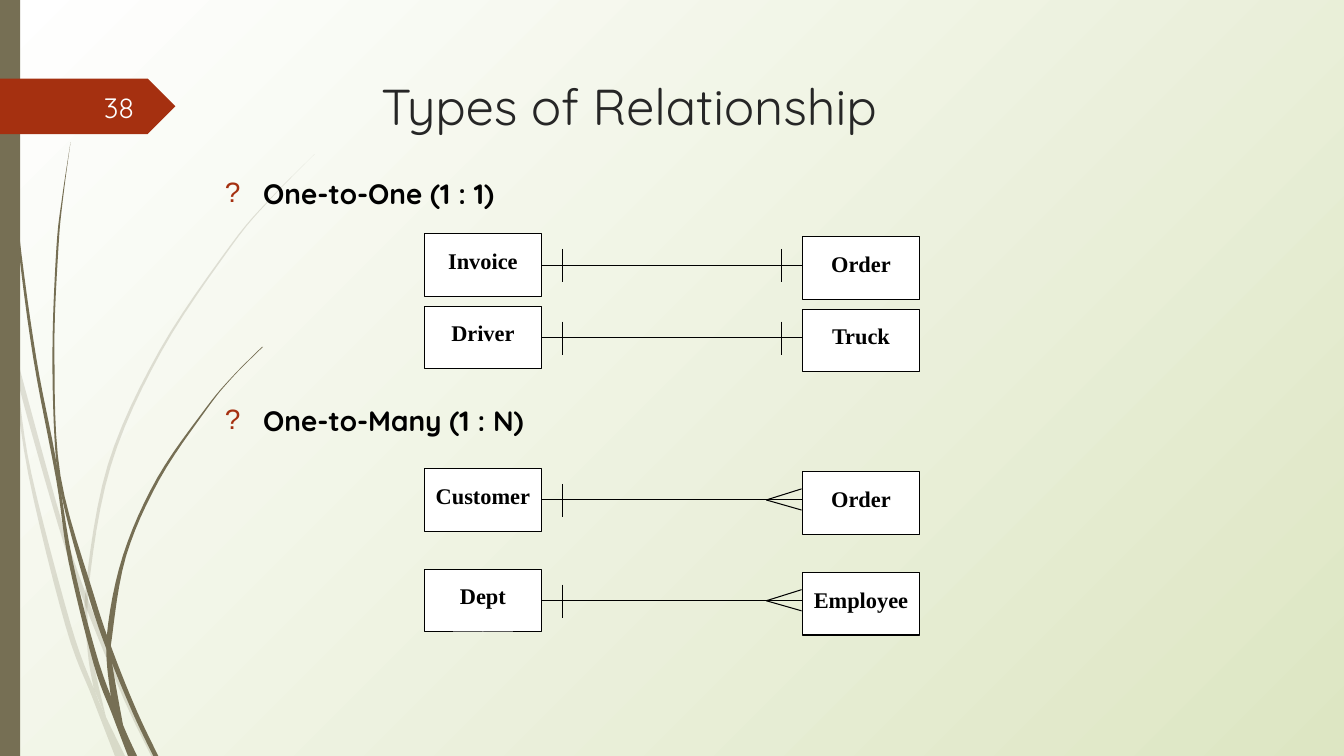
from lxml import etree
from pptx import Presentation
from pptx.dml.color import RGBColor
from pptx.enum.shapes import MSO_CONNECTOR, MSO_SHAPE
from pptx.enum.text import MSO_ANCHOR, MSO_AUTO_SIZE, PP_ALIGN
from pptx.oxml.ns import qn
from pptx.util import Inches, Pt

RECTANGLE, PENTAGON = MSO_SHAPE.RECTANGLE, MSO_SHAPE.PENTAGON
STRAIGHT = MSO_CONNECTOR.STRAIGHT
TOP, MIDDLE = MSO_ANCHOR.TOP, MSO_ANCHOR.MIDDLE
LEFT, CENTER, RIGHT = PP_ALIGN.LEFT, PP_ALIGN.CENTER, PP_ALIGN.RIGHT
NO_AUTOFIT = MSO_AUTO_SIZE.NONE

WHITE = RGBColor(0xFF, 0xFF, 0xFF)
PALE_GREEN = RGBColor(0xDD, 0xE6, 0xC3)
OLIVE = RGBColor(0x76, 0x6F, 0x54)
RUST = RGBColor(0xA5, 0x30, 0x10)
CHARCOAL = RGBColor(0x26, 0x26, 0x26)
BLACK = RGBColor(0, 0, 0)
NUMBER_WHITE = RGBColor(0xFE, 0xFF, 0xFF)
HEADING_FONT, DIAGRAM_FONT = "Quicksand", "Times New Roman"

# Each blade of grass: one edge downwards, then the other edge back up.
PALE_BLADES = [
    ([(0, 2.99), (.1, 3.44), (.28, 4.7), (.65, 6.21), (.92, 6.93), (1.14, 7.5)],
     [(1.24, 7.5), (1.05, 7.11), (.93, 6.83), (.7, 6.19), (.31, 4.69),
      (.17, 3.76), (.09, 3.22), (0, 2.82)]),
    ([(.14, 3.45), (.17, 3.76), (.58, 5.22), (.84, 5.99), (1.23, 6.94), (1.5, 7.5)],
     [(1.55, 7.5), (1.27, 6.92), (.92, 6.07), (.62, 5.2), (.14, 3.45)]),
    ([(3.12, 1.53), (2.68, 1.97), (2.28, 2.44), (1.58, 3.48), (1.07, 4.61),
      (.85, 5.84), (.87, 6.46), (.93, 6.83)],
     [(1.05, 7.11), (.91, 6.46), (.88, 5.84), (1.1, 4.62), (1.6, 3.49),
      (2.29, 2.45), (2.68, 1.98), (3.12, 1.53)]),
]
DARK_BLADES = [
    ([(.03, 0), (.07, 1.1), (.17, 2.33), (.33, 3.55), (.56, 4.77), (.68, 5.57),
      (.93, 6.59), (1.11, 7.08), (1.27, 7.5)],
     [(1.36, 7.5), (1.22, 7.19), (.98, 6.57), (.72, 5.56), (.55, 4.53),
      (.36, 3.55), (.19, 2.32), (.08, 1.09), (.04, 0)]),
    ([(.7, 1.41), (.62, 1.93), (.56, 2.45), (.52, 3.49), (.55, 4.49), (.64, 5.05),
      (.88, 5.92), (1.06, 6.45), (1.32, 7.08), (1.52, 7.5)],
     [(1.57, 7.5), (1.36, 7.06), (1.13, 6.49), (.93, 5.9), (.6, 4.72),
      (.54, 3.49), (.58, 2.45), (.63, 1.93), (.7, 1.41)]),
    ([(2.6, 3.44), (2.31, 3.73), (2.04, 4.05), (1.56, 4.74), (1.22, 5.51),
      (1.06, 6.31), (1.1, 6.91), (1.17, 7.22)],
     [(1.22, 7.19), (1.11, 6.56), (1.11, 6.33), (1.25, 5.52), (1.58, 4.76),
      (2.05, 4.06), (2.31, 3.74), (2.61, 3.44)]),
]
# Top, left entity, right entity, many on the right, right tick width
RELATIONSHIPS = [
    (2.32, "Invoice", "Order", False, 1),
    (3.04, "Driver", "Truck", False, .75),
    (4.65, "Customer", "Order", True, .75),
    (5.65, "Dept", "Employee", True, .75),
]


def smooth_curve(points, steps=6):
    """Return points along a Catmull-Rom curve through the given points."""
    padded = [points[0], *points, points[-1]]
    curve = [points[0]]
    for before, start, end, after in zip(padded, padded[1:], padded[2:], padded[3:]):
        for step in range(1, steps + 1):
            t = step / steps
            curve.append(tuple(
                .5 * (2 * b + (c - a) * t + (2 * a - 5 * b + 4 * c - d) * t ** 2
                      + (3 * b - a - 3 * c + d) * t ** 3)
                for a, b, c, d in zip(before, start, end, after)))
    return curve


def paint(shape, color):
    shape.shadow.inherit = False
    shape.fill.solid()
    shape.fill.fore_color.rgb = color
    shape.line.fill.background()


def format_text(paragraph, font_name, size, color, bold=False, alignment=LEFT):
    paragraph.alignment = alignment
    font = paragraph.runs[0].font
    font.name, font.size, font.bold = font_name, Pt(size), bold
    font.color.rgb = color


def set_background(slide):
    fill = slide.background.fill
    fill.gradient()
    for stop, color in zip(fill.gradient_stops, (WHITE, PALE_GREEN)):
        stop.color.rgb = color
    gradient = next(slide.element.iter(qn("a:gradFill")))
    gradient.remove(gradient.find(qn("a:lin")))
    circle = etree.SubElement(gradient, qn("a:path"), path="circle")
    etree.SubElement(circle, qn("a:fillToRect"), r="100000", b="100000")


def add_blade(slide, edges, opacity):
    points = [(Inches(x), Inches(y)) for edge in edges for x, y in smooth_curve(edge)]
    builder = slide.shapes.build_freeform(*points[0])
    builder.add_line_segments(points[1:])
    blade = builder.convert_to_shape()
    paint(blade, OLIVE)
    if opacity < 100:
        color = next(blade.element.spPr.iter(qn("a:srgbClr")))
        etree.SubElement(color, qn("a:alpha"), val=str(opacity * 1000))


def add_decoration(slide):
    for blades, opacity in ((PALE_BLADES, 20), (DARK_BLADES, 100)):
        for edges in blades:
            add_blade(slide, edges, opacity)
    bar = slide.shapes.add_shape(RECTANGLE, 0, 0, Inches(.2), Inches(7.5))
    paint(bar, OLIVE)


def add_slide_number(slide, top, number):
    tag = slide.shapes.add_shape(PENTAGON, 0, Inches(top), Inches(1.74), Inches(.55))
    paint(tag, RUST)
    box = slide.shapes.add_textbox(Inches(.58), Inches(top + .08), Inches(.85), Inches(.4))
    box.text_frame.word_wrap = True
    box.text_frame.vertical_anchor = MIDDLE
    box.text_frame.text = number
    format_text(box.text_frame.paragraphs[0], HEADING_FONT, 20, NUMBER_WHITE, alignment=RIGHT)


def fill_placeholder(placeholder, box, text):
    placeholder.left, placeholder.top, placeholder.width, placeholder.height = map(Inches, box)
    frame = placeholder.text_frame
    frame.text = text
    frame.auto_size = NO_AUTOFIT
    frame.vertical_anchor = TOP
    return frame.paragraphs


def add_title(slide, box):
    paragraph = fill_placeholder(slide.shapes.title, box, "Types of Relationship")[0]
    format_text(paragraph, HEADING_FONT, 36, CHARCOAL)


def add_headings(slide, box):
    paragraphs = fill_placeholder(slide.placeholders[1], box,
                                  "One-to-One (1 : 1)\nOne-to-Many (1 : N)")
    for paragraph, gap in zip(paragraphs, (0, 138)):
        paragraph.space_before = Pt(gap)
        properties = paragraph._p.get_or_add_pPr()
        properties.set("marL", str(Inches(.38)))
        properties.set("indent", str(-Inches(.38)))
        bullet_color = etree.SubElement(properties, qn("a:buClr"))
        etree.SubElement(bullet_color, qn("a:srgbClr"), val=str(RUST))
        etree.SubElement(properties, qn("a:buFont"), typeface="Arial")
        etree.SubElement(properties, qn("a:buChar"), char="?")
        format_text(paragraph, HEADING_FONT, 20, BLACK, bold=True)


def add_entity(slide, left, top, name):
    entity = slide.shapes.add_shape(RECTANGLE, Inches(left), Inches(top), Inches(1.16), Inches(.62))
    paint(entity, WHITE)
    entity.line.color.rgb = BLACK
    entity.line.width = Pt(.75)
    frame = entity.text_frame
    frame.text = name
    frame.margin_top = Inches(.13)
    frame.vertical_anchor = TOP
    format_text(frame.paragraphs[0], DIAGRAM_FONT, 16, BLACK, bold=True, alignment=CENTER)
    return entity


def add_line(slide, start, end, width=.75):
    line = slide.shapes.add_connector(STRAIGHT, *map(Inches, start + end))
    line.line.color.rgb = BLACK
    line.line.width = Pt(width)
    etree.SubElement(line.element.spPr, qn("a:effectLst"))
    return line


def add_relationship(slide, left, top, left_name, right_name, many, tick_width):
    middle, right = top + .31, left + 3.75
    left_entity = add_entity(slide, left, top, left_name)
    add_entity(slide, right, top + .03, right_name)
    link = add_line(slide, (left + 1.16, middle), (right, middle))
    link.begin_connect(left_entity, 3)
    ticks = [(left + 1.37, .75)]
    if many:
        for offset in (-.11, .1):
            add_line(slide, (right - .36, middle), (right - .01, middle + offset))
    else:
        ticks.append((right - .21, tick_width))
    for x, width in ticks:
        add_line(slide, (x, middle - .16), (x, middle + .17), width)


def main():
    presentation = Presentation()
    presentation.slide_width, presentation.slide_height = Inches(13.33), Inches(7.5)
    slide = presentation.slides.add_slide(presentation.slide_layouts[1])
    set_background(slide)
    add_decoration(slide)
    add_slide_number(slide, .78, "38")
    add_title(slide, (3.68, .69, 5.48, 1.4))
    add_headings(slide, (2.13, 1.7, 9.1, 5.59))
    for relationship in RELATIONSHIPS:
        add_relationship(slide, 4.21, *relationship)
    presentation.save("out.pptx")


if __name__ == "__main__":
    main()
